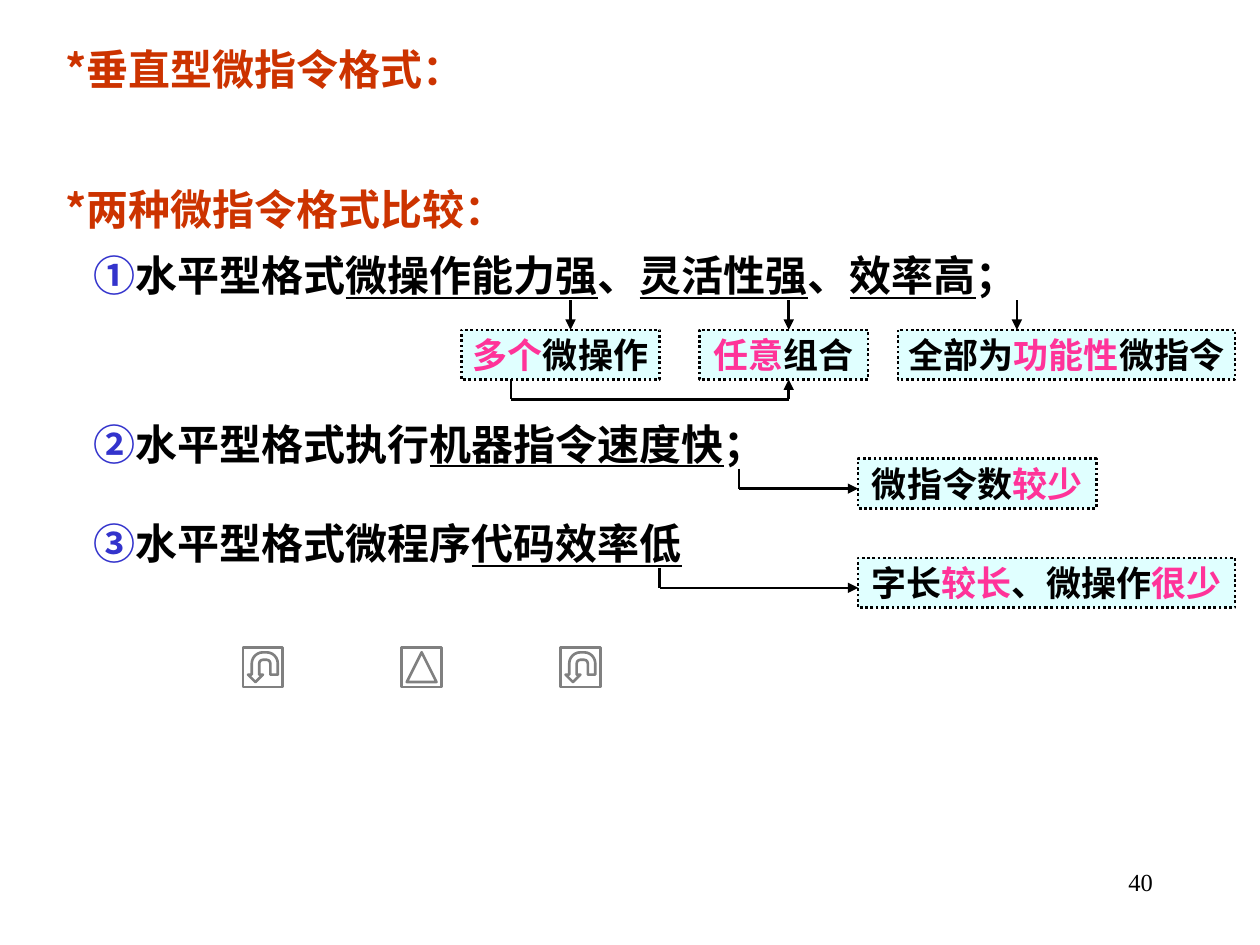
from pptx import Presentation
from pptx import util as u
from pptx.dml.color import RGBColor
from pptx.enum import dml, lang, shapes, text
from pptx.oxml.ns import qn
from lxml import etree

Cm, Pt = u.Cm, u.Pt
BLACK = RGBColor(0x00, 0x00, 0x00)
RED = RGBColor(0xCC, 0x33, 0x00)
BLUE = RGBColor(0x33, 0x33, 0xCC)
PINK = RGBColor(0xFF, 0x33, 0x99)
CYAN = RGBColor(0xCC, 0xFF, 0xFF)
GRAY = RGBColor(0x80, 0x80, 0x80)
CJK, SERIF = "Noto Sans CJK SC", "Times New Roman"


class Deck:
    """Holds the style and the current slide."""
    line_width = Pt(1.5)
    text_size, note_size = 24, 20
    note_height = 1

    def __init__(self, prs):
        self.s = prs.slides.add_slide(prs.slide_layouts[6])

    def runs(self, p, parts, font, size, bold=True):
        """Each part is (text, colour) or (text, colour, underlined)."""
        for words, color, *underlined in parts:
            r = p.add_run()
            r.text = words
            f = r.font
            f.name, f.size, f.bold = font, Pt(size), bold
            f.color.rgb = color
            f.language_id = lang.MSO_LANGUAGE_ID.SIMPLIFIED_CHINESE
            if underlined:
                f.underline = True
            ea = etree.SubElement(r._r.get_or_add_rPr(), qn("a:ea"))
            ea.set("typeface", CJK)

    def textbox(self, x, y, w, h):
        tf = self.s.shapes.add_textbox(Cm(x), Cm(y), Cm(w), Cm(h)).text_frame
        tf.word_wrap = True
        return tf.paragraphs[0]

    def text_line(self, y, parts, indent, h=1.52):
        p = self.textbox(0.5, y, 24.4, h)
        p.line_spacing = 1.25
        p._p.get_or_add_pPr().set("marL", str(Cm(indent)))
        self.runs(p, parts, CJK, self.text_size)

    def heading(self, y, words, h=1.52):
        self.text_line(y, [(words, RED)], 0.57, h)

    def item(self, y, number, *parts):
        self.text_line(y, [(number, BLUE), *parts], 1.14)

    def page_number(self, number):
        p = self.textbox(18.21, 17.35, 5.28, 1.27)
        p.alignment = text.PP_ALIGN.RIGHT
        self.runs(p, [(number, BLACK)], SERIF, 14, bold=False)

    def note(self, x, y, w, *parts):
        sp = self.s.shapes.add_shape(shapes.MSO_SHAPE.RECTANGLE, Cm(x), Cm(y),
                                     Cm(w), Cm(self.note_height))
        sp.shadow.inherit = False
        sp.fill.solid()
        sp.fill.fore_color.rgb = CYAN
        clr = sp._element.spPr.find(qn("a:solidFill"))[0]
        etree.SubElement(clr, qn("a:alpha")).set("val", "60000")
        sp.line.color.rgb = BLACK
        sp.line.width = self.line_width
        sp.line.dash_style = dml.MSO_LINE.ROUND_DOT
        tf = sp.text_frame
        tf.margin_left = tf.margin_right = Cm(0.05)
        tf.margin_top = tf.margin_bottom = Cm(0.03)
        tf.vertical_anchor = text.MSO_ANCHOR.MIDDLE
        tf.word_wrap = False
        p = tf.paragraphs[0]
        p.alignment = text.PP_ALIGN.CENTER
        self.runs(p, parts, SERIF, self.note_size)

    def arrow(self, *points):
        """Straight segments through the points, with a head at the last."""
        for start, end in zip(points, points[1:]):
            c = self.s.shapes.add_connector(
                shapes.MSO_CONNECTOR.STRAIGHT, *map(Cm, start + end))
            c.line.color.rgb = BLACK
            c.line.width = self.line_width
            etree.SubElement(c._element.spPr, qn("a:effectLst"))
        tail = etree.SubElement(c.line._get_or_add_ln(), qn("a:tailEnd"))
        tail.set("type", "triangle")

    def button(self, kind, x, rotation):
        sp = self.s.shapes.add_shape(kind, Cm(x), Cm(13.05), Cm(0.8), Cm(0.8))
        sp.rotation = rotation
        sp.shadow.inherit = False
        sp.fill.background()
        sp.line.color.rgb = GRAY
        sp.line.width = self.line_width


def main():
    prs = Presentation()
    prs.slide_width, prs.slide_height = Cm(25.4), Cm(19.05)
    d = Deck(prs)
    d.page_number("40")

    # Headings
    d.heading(0.5, "*垂直型微指令格式：", h=2.8)
    d.heading(3.33, "*两种微指令格式比较：")

    # Point 1: three strengths, each with a note below
    d.item(4.65, "①", ("水平型格式", BLACK), ("微操作能力强", BLACK, True),
           ("、", BLACK), ("灵活性强", BLACK, True), ("、", BLACK),
           ("效率高", BLACK, True), ("；", BLACK))
    top = 6.65
    bottom = top + d.note_height
    d.note(9.3, top, 4, ("多个", PINK), ("微操作", BLACK))
    d.note(14.1, top, 3.4, ("任意", PINK), ("组合", BLACK))
    d.note(18.1, top, 6.8, ("全部为", BLACK), ("功能性", PINK), ("微指令", BLACK))
    for x in (11.5, 15.9, 20.5):
        d.arrow((x, top - 0.6), (x, top))
    d.arrow((10.3, bottom), (10.3, bottom + 0.4),
            (15.9, bottom + 0.4), (15.9, bottom))

    # Points 2 and 3: a note to the right of each
    d.item(8.05, "②", ("水平型格式执行", BLACK),
           ("机器指令速度快", BLACK, True), ("；", BLACK))
    d.item(10.06, "③", ("水平型格式微程序", BLACK), ("代码效率低", BLACK, True))
    left = 17.3
    d.note(left, 9.25, 4.8, ("微指令数", BLACK), ("较少", PINK))
    d.note(left, 11.25, 7.6, ("字长", BLACK), ("较长", PINK),
           ("、微操作", BLACK), ("很少", PINK))
    for x, y in ((14.9, 9.85), (13.3, 11.85)):
        d.arrow((x, y - 0.4), (x, y), (left, y))

    # Navigation buttons
    back = shapes.MSO_SHAPE.ACTION_BUTTON_RETURN
    up = shapes.MSO_SHAPE.ACTION_BUTTON_BACK_OR_PREVIOUS
    for i, (kind, rotation) in enumerate([(back, 180), (up, 90), (back, 180)]):
        d.button(kind, 4.9 + 3.2 * i, rotation)

    prs.save("out.pptx")


if __name__ == "__main__":
    main()
